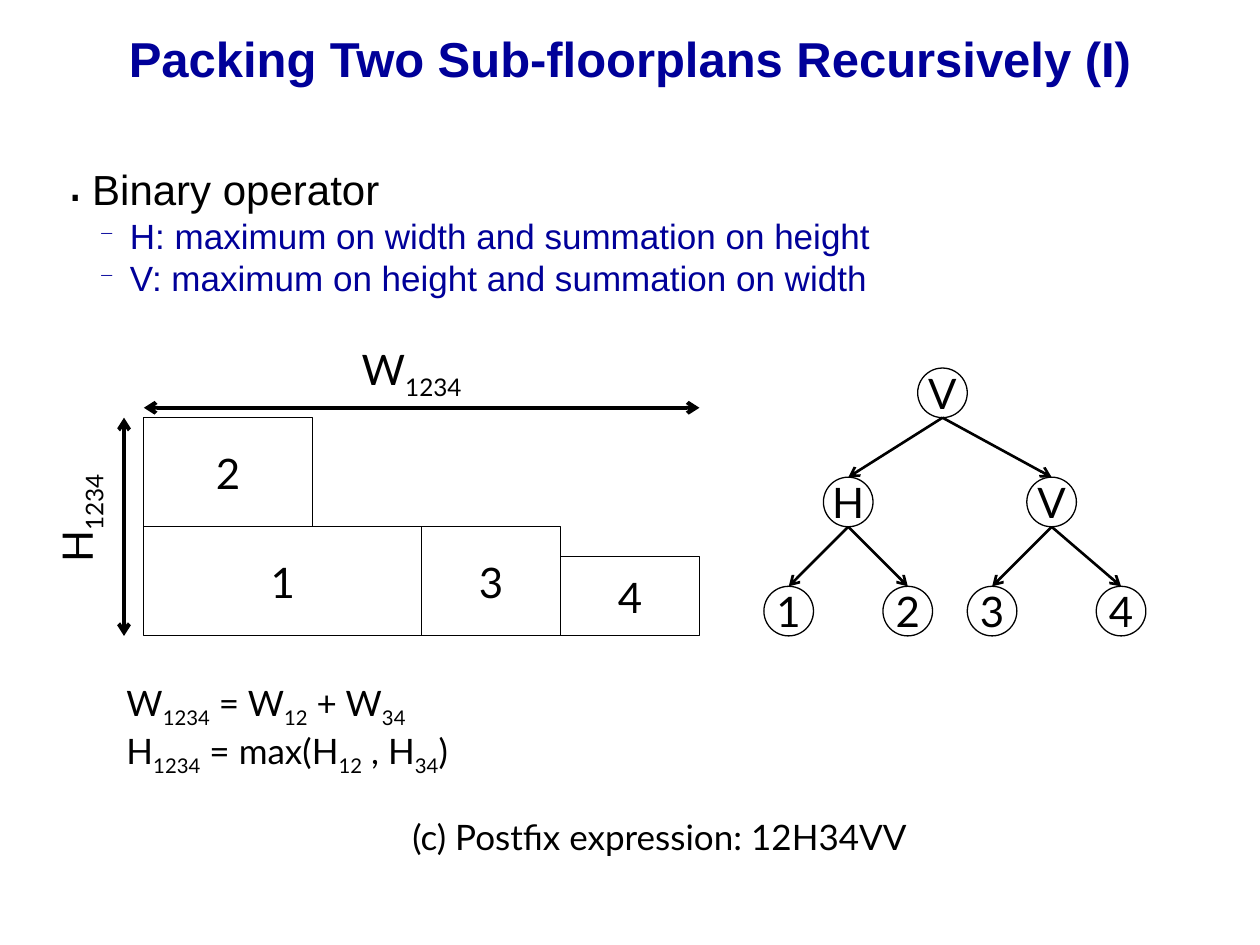
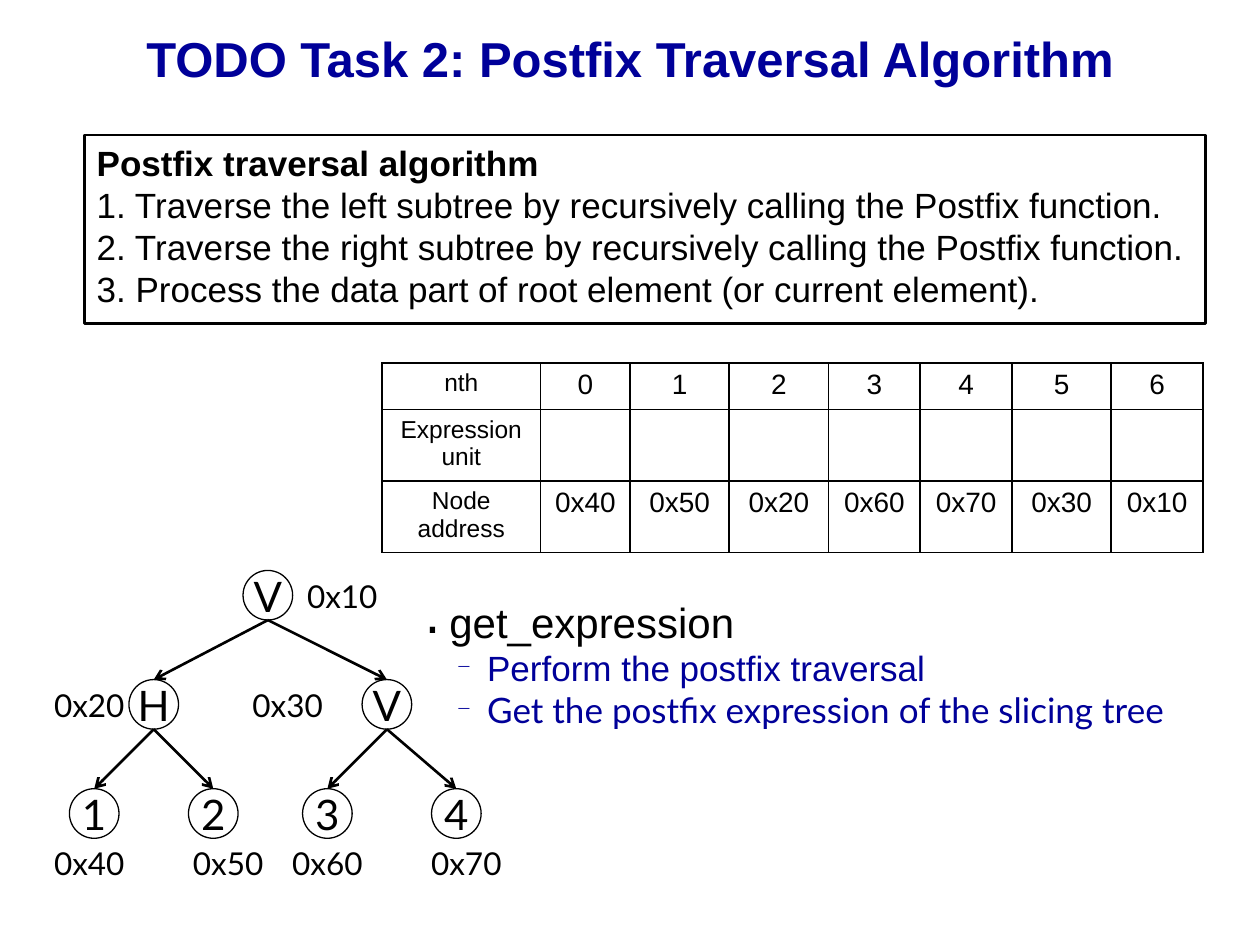
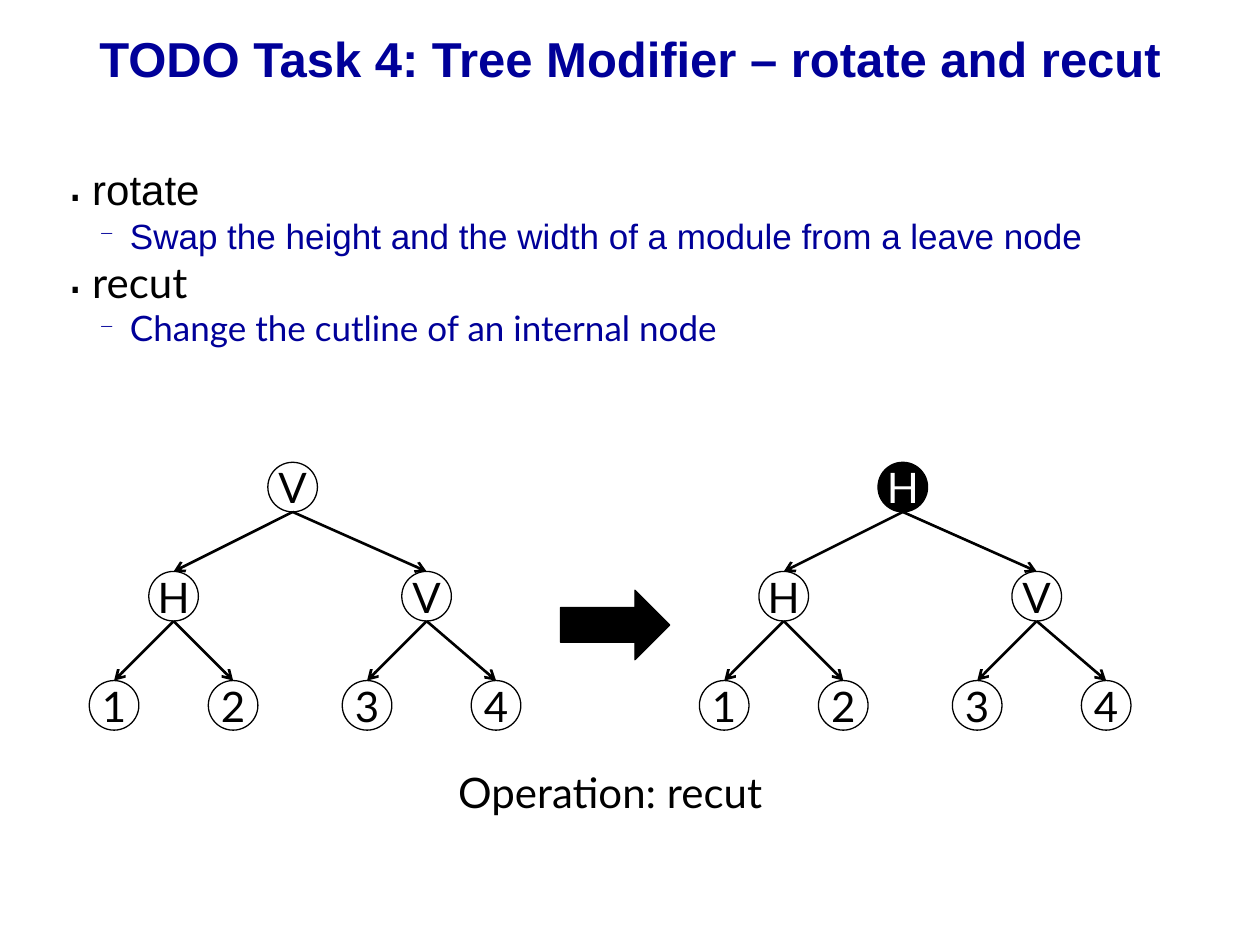
from dataclasses import dataclass
from itertools import accumulate

from lxml import etree
from pptx import Presentation
from pptx.dml.color import RGBColor
from pptx.enum.shapes import MSO_CONNECTOR, MSO_SHAPE
from pptx.enum.text import MSO_ANCHOR, PP_ALIGN
from pptx.oxml.ns import qn
from pptx.util import Cm, Pt

LEFT, CENTER = PP_ALIGN.LEFT, PP_ALIGN.CENTER
TOP, MIDDLE = MSO_ANCHOR.TOP, MSO_ANCHOR.MIDDLE
RECTANGLE, OVAL, RIGHT_ARROW = MSO_SHAPE.RECTANGLE, MSO_SHAPE.OVAL, MSO_SHAPE.RIGHT_ARROW
STRAIGHT = MSO_CONNECTOR.STRAIGHT


@dataclass(frozen=True)
class Theme:
    ink: str = "000000"
    paper: str = "FFFFFF"
    accent: str = "000099"
    sans: str = "Arial"
    label: str = "Lato"
    title: int = 28
    large: int = 24
    medium: int = 20
    small: int = 18
    cell: int = 16
    cell_head: int = 14
    thin: float = 0.74
    edge: float = 1.5
    measure: float = 2.24
    leading: float = 1.2


THEME = Theme()
WIDTH, HEIGHT = 25.4, 19.05
TITLE_AREA = (0, 0, WIDTH, 2.34)
BODY_AREA = (1.1, 3.18, 23.2, 12.75)
NODE, LEVEL = 1, 2.2
LEAF_OFFSETS = ((-1.2, 1.2), (-1.2, 1.4))
BULLETS = {0: ("\u2024", 120, 0.51, -0.51), 1: ("\u2500", 55, 1.27, -0.62)}

PACKING = {
    "title": "Packing Two Sub-floorplans Recursively (I)",
    "points": [
        (0, "Binary operator", THEME.sans),
        (1, "H: maximum on width and summation on height", THEME.sans),
        (1, "V: maximum on height and summation on width", THEME.sans),
    ],
    "modules": [
        ("1", 0, 0, 5.6, 2.2),
        ("2", 0, 2.2, 3.4, 2.2),
        ("3", 5.6, 0, 2.8, 2.2),
        ("4", 8.4, 0, 2.8, 1.6),
    ],
    "sizes": ["W|1234| = W|12| + W|34|", "H|1234| = max(H|12| , H|34|)"],
    "caption": "(c) Postfix expression: 12H34VV",
}
TRAVERSAL = {
    "title": "TODO Task 2: Postfix Traversal Algorithm",
    "heading": "Postfix traversal algorithm",
    "steps": [
        "1. Traverse the left subtree by recursively calling the Postfix function.",
        "2. Traverse the right subtree by recursively calling the Postfix function.",
        "3. Process the data part of root element (or current element).",
    ],
    "rows": [
        ["nth", "0", "1", "2", "3", "4", "5", "6"],
        ["Expression\nunit"] + [""] * 7,
        ["Node address", "0x40", "0x50", "0x20", "0x60", "0x70", "0x30", "0x10"],
    ],
    "columns": [3.2, 1.8, 2, 2, 1.85, 1.85, 2, 1.85],
    "heights": [0.94, 1.44, 1.44],
    "addresses": [
        [("0x10", 5.6)],
        [("0x20", 0.5), ("0x30", 4.5)],
        [("0x40", 0.5), ("0x50", 3.3), ("0x60", 5.3), ("0x70", 8.1)],
    ],
    "points": [
        (0, "get_expression", THEME.sans),
        (1, "Perform the postfix traversal", THEME.sans),
        (1, "Get the postfix expression of the slicing tree", THEME.label),
    ],
}
MODIFIER = {
    "title": "TODO Task 4: Tree Modifier \u2013 rotate and recut",
    "points": [
        (0, "rotate", THEME.sans),
        (1, "Swap the height and the width of a module from a leave node", THEME.sans),
        (0, "recut", THEME.label),
        (1, "Change the cutline of an internal node", THEME.label),
    ],
    "caption": "Operation: recut",
}


def colour(value):
    return RGBColor.from_string(value)


def write(frame, text, *, first=False, size=THEME.large, font=THEME.label,
          color=THEME.ink, bold=False, align=CENTER, exact=False, level=None):
    para = frame.paragraphs[0] if first else frame.add_paragraph()
    para.alignment = align
    if exact:
        para.line_spacing = Pt(size * THEME.leading)
    if level is not None:
        mark, percent, margin, indent = BULLETS[level]
        para.level = level
        properties = para._p.get_or_add_pPr()
        properties.set("marL", str(Cm(margin)))
        properties.set("indent", str(Cm(indent)))
        etree.SubElement(properties, qn("a:buSzPct")).set("val", str(percent * 1000))
        etree.SubElement(properties, qn("a:buChar")).set("char", mark)
    for index, part in enumerate(text.split("|")):
        if not part:
            continue
        span = para.add_run()
        span.text = part
        span.font.size, span.font.name, span.font.bold = Pt(size), font, bold
        span.font.color.rgb = colour(color)
        if index % 2:
            span.font._element.set("baseline", "-25000")


def text_box(page, area, lines=(), *, anchor=TOP, rotation=0, **style):
    box = page.shapes.add_textbox(*map(Cm, area))
    box.rotation = rotation
    box.text_frame.word_wrap = True
    box.text_frame.vertical_anchor = anchor
    for index, line in enumerate(lines):
        write(box.text_frame, line, first=index == 0, **style)
    return box


def outline(page, kind, area, text="", *, fill=None, color=THEME.ink, weight=THEME.thin):
    shape = page.shapes.add_shape(kind, *map(Cm, area))
    shape.shadow.inherit = False
    if fill:
        shape.fill.solid()
        shape.fill.fore_color.rgb = colour(fill)
    else:
        shape.fill.background()
    shape.line.color.rgb = colour(THEME.ink)
    shape.line.width = Pt(weight)
    if text:
        frame = shape.text_frame
        frame.word_wrap = False
        frame.vertical_anchor = MIDDLE
        frame.margin_left = frame.margin_right = frame.margin_top = frame.margin_bottom = 0
        write(frame, text, first=True, color=color)
    return shape


def arrow(page, start, end, *, weight=THEME.edge, ends=("tailEnd",)):
    line = page.shapes.add_connector(STRAIGHT, *map(Cm, start + end))
    line.line.color.rgb = colour(THEME.ink)
    line.line.width = Pt(weight)
    properties = line._element.spPr
    for name in ends:
        etree.SubElement(properties.find(qn("a:ln")), qn(f"a:{name}")).set("type", "arrow")
    etree.SubElement(properties, qn("a:effectLst"))


def tree(page, top, root, branches, *, operator="V", fill=None, color=THEME.ink):
    def node(center, depth, text, **style):
        outline(page, OVAL, (center - NODE / 2, top + depth * LEVEL, NODE, NODE), text, **style)

    def edge(parent, child, depth):
        arrow(page, (parent, top + depth * LEVEL + NODE), (child, top + (depth + 1) * LEVEL))

    node(root, 0, operator, fill=fill, color=color)
    for branch, name, leaves, offsets in zip(branches, "HV", ("12", "34"), LEAF_OFFSETS):
        node(branch, 1, name)
        edge(root, branch, 0)
        for leaf, offset in zip(leaves, offsets):
            node(branch + offset, 2, leaf)
            edge(branch, branch + offset, 1)


def points(page, area, items):
    frame = text_box(page, area).text_frame
    for index, (level, text, font) in enumerate(items):
        write(frame, text, first=index == 0, font=font, level=level, align=LEFT, exact=True,
              size=(THEME.large, THEME.medium)[level], color=(THEME.ink, THEME.accent)[level])


def border(cell):
    properties = cell._tc.get_or_add_tcPr()
    for position, side in enumerate(("lnL", "lnR", "lnT", "lnB")):
        line = etree.Element(qn(f"a:{side}"), w=str(Pt(1)))
        fill = etree.SubElement(line, qn("a:solidFill"))
        etree.SubElement(fill, qn("a:srgbClr")).set("val", THEME.ink)
        properties.insert(position, line)


def address_table(page, left, top, rows, columns, heights):
    table = page.shapes.add_table(len(rows), len(columns), Cm(left), Cm(top),
                                  Cm(sum(columns)), Cm(sum(heights))).table
    for column, width in zip(table.columns, columns):
        column.width = Cm(width)
    for row, height, texts in zip(table.rows, heights, rows):
        row.height = Cm(height)
        for index, (cell, text) in enumerate(zip(row.cells, texts)):
            cell.fill.background()
            border(cell)
            for number, line in enumerate(text.split("\n")):
                write(cell.text_frame, line, first=number == 0, font=THEME.sans,
                      size=THEME.cell if index else THEME.cell_head)


def new_page(deck, title):
    page = deck.slides.add_slide(deck.slide_layouts[6])
    page.background.fill.solid()
    page.background.fill.fore_color.rgb = colour(THEME.paper)
    text_box(page, TITLE_AREA, [title], anchor=MIDDLE, size=THEME.title,
             font=THEME.sans, color=THEME.accent, bold=True)
    return page


def packing_page(deck, content):
    page = new_page(deck, content["title"])
    points(page, BODY_AREA, content["points"])
    left, bottom = 2.9, 12.82
    right = left + max(x + width for _, x, _, width, _ in content["modules"])
    top = bottom - max(y + height for _, _, y, _, height in content["modules"])
    for name, x, y, width, height in content["modules"]:
        outline(page, RECTANGLE, (left + x, bottom - y - height, width, height), name)
    both = ("headEnd", "tailEnd")
    arrow(page, (2.5, top), (2.5, bottom), weight=THEME.measure, ends=both)
    arrow(page, (left, 8.22), (right, 8.22), weight=THEME.measure, ends=both)
    text_box(page, (-0.05, 9.75, 3.3, 1.4), ["H|1234"], rotation=270)
    text_box(page, (2.5, 6.8, 11.6, 1.4), ["W|1234"])
    tree(page, top - NODE, 19, (17.1, 21.2))
    text_box(page, (2.3, 13.62, 21.8, 2.18), content["sizes"], size=THEME.medium, align=LEFT)
    text_box(page, (2.3, 16.32, 22, 1.1), [content["caption"]], size=THEME.medium)


def traversal_page(deck, content):
    page = new_page(deck, content["title"])
    panel = outline(page, RECTANGLE, (1.7, 2.72, 22.6, 3.8), weight=THEME.edge)
    frame = panel.text_frame
    frame.word_wrap = True
    frame.vertical_anchor = TOP
    style = {"size": THEME.medium, "font": THEME.sans, "align": LEFT, "exact": True}
    write(frame, content["heading"], first=True, bold=True, **style)
    for step in content["steps"]:
        write(frame, step, **style)
    address_table(page, 7.7, 7.32, content["rows"], content["columns"], content["heights"])
    top = 11.5
    tree(page, top, 5.4, (3.1, 7.8))
    tops = accumulate((LEVEL, LEVEL + NODE), initial=top)
    for label_top, labels in zip(tops, content["addresses"]):
        for text, left in labels:
            text_box(page, (left, label_top, 2.6, 1.02), [text], size=THEME.small)
    points(page, (8.3, 11.9, 16.6, 4.4), content["points"])


def modifier_page(deck, content):
    page = new_page(deck, content["title"])
    points(page, BODY_AREA, content["points"])
    top, root, branches, shift = 9.32, 5.9, (3.5, 8.6), 12.3
    tree(page, top, root, branches)
    tree(page, top, root + shift, [branch + shift for branch in branches],
         operator="H", fill=THEME.ink, color=THEME.paper)
    outline(page, RIGHT_ARROW, (11.3, 11.9, 2.2, 1.4), fill=THEME.ink)
    text_box(page, (1.9, 15.32, 20.8, 1.28), [content["caption"]])


deck = Presentation()
deck.slide_width, deck.slide_height = Cm(WIDTH), Cm(HEIGHT)
packing_page(deck, PACKING)
traversal_page(deck, TRAVERSAL)
modifier_page(deck, MODIFIER)
deck.save("out.pptx")
